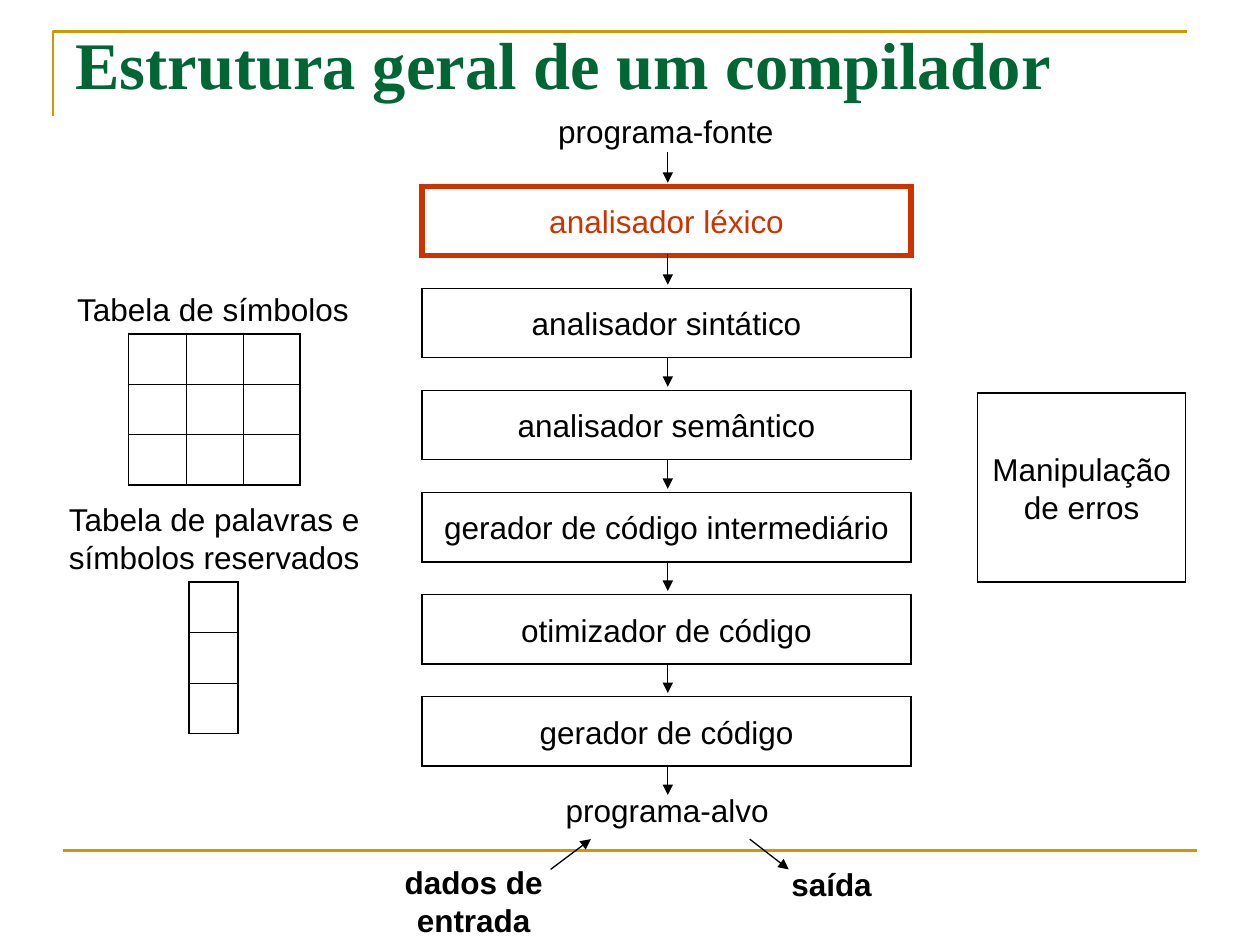
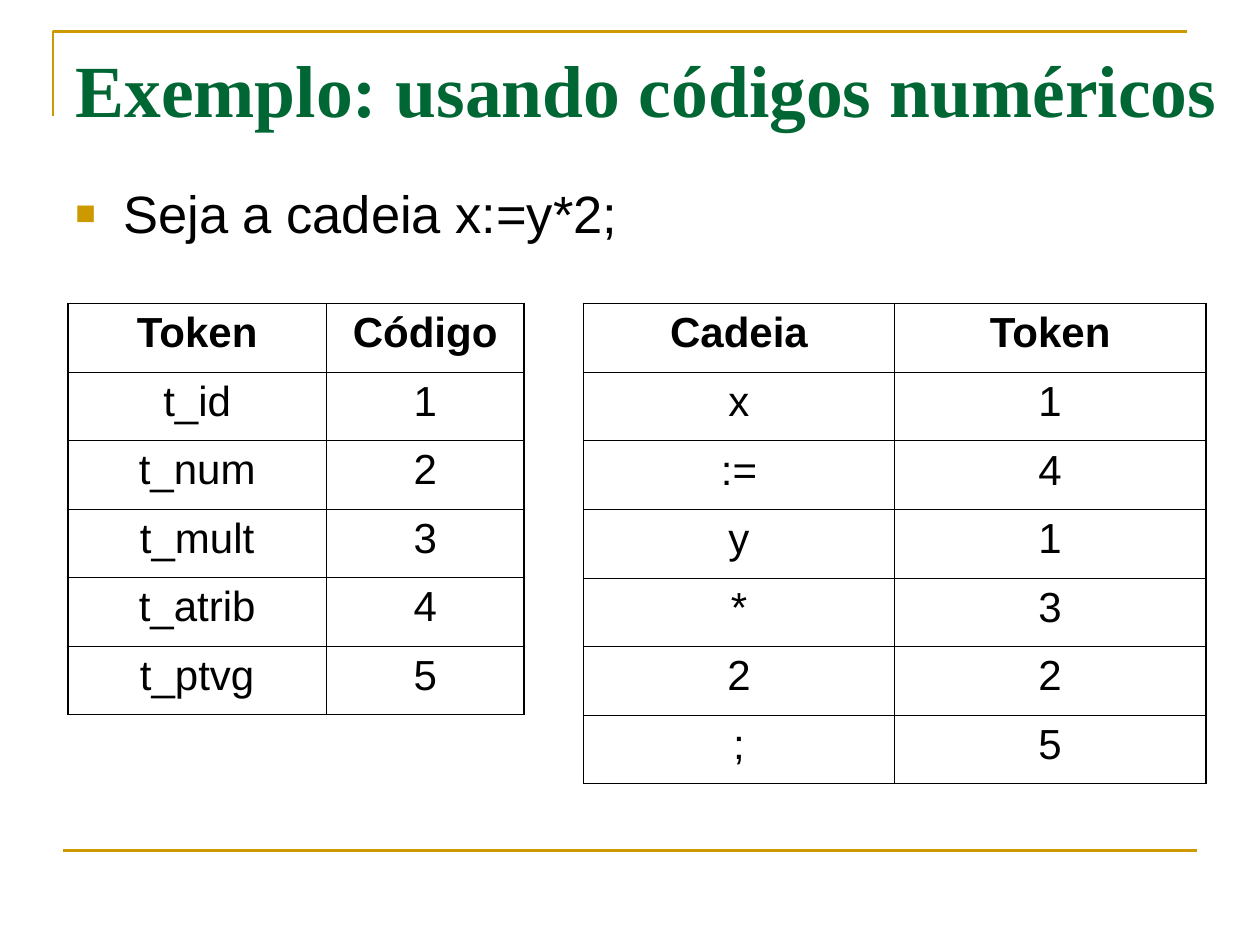
"""Build two slides on the structure of a compiler and its token codes."""
from dataclasses import dataclass

import lxml.etree
import pptx
import pptx.dml.color
import pptx.enum.shapes
import pptx.enum.text
import pptx.oxml.ns
import pptx.presentation
import pptx.shapes.base
import pptx.shapes.connector
import pptx.slide
import pptx.table
import pptx.text.text
import pptx.util

Color = pptx.dml.color.RGBColor
Inches = pptx.util.Inches
Pt = pptx.util.Pt
Align = pptx.enum.text.PP_ALIGN
Anchor = pptx.enum.text.MSO_ANCHOR

GOLD = Color(0xCC, 0x99, 0x00)
GREEN = Color(0x00, 0x66, 0x33)
RED = Color(0xCC, 0x33, 0x00)
BLACK = Color(0x00, 0x00, 0x00)

SANS = "Arial"
SERIF = "Times New Roman"

STAGES = [
    "analisador léxico",
    "analisador sintático",
    "analisador semântico",
    "gerador de código intermediário",
    "otimizador de código",
    "gerador de código",
]
PITCH = 0.81
CODES = [
    ("Token", "Código"),
    ("t_id", "1"),
    ("t_num", "2"),
    ("t_mult", "3"),
    ("t_atrib", "4"),
    ("t_ptvg", "5"),
]
CHAIN = [
    ("Cadeia", "Token"),
    ("x", "1"),
    (":=", "4"),
    ("y", "1"),
    ("*", "3"),
    ("2", "2"),
    (";", "5"),
]


@dataclass
class Style:
    """Look of a piece of text."""

    size: float = 18
    color: Color = BLACK
    bold: bool = False
    font: str = SANS
    align: Align = Align.CENTER


@dataclass
class Block:
    """Text with its place in inches."""

    text: str
    left: float
    top: float
    width: float
    height: float
    style: Style
    wrap: bool = False


@dataclass
class Arrow:
    """Ends of an arrow in inches."""

    left: float
    top: float
    right: float
    bottom: float


@dataclass
class Grid:
    """Table with its place, column widths and height in inches."""

    left: float
    top: float
    cols: list[float]
    height: float
    data: list[tuple[str, ...]]


PLAIN = Style()
STRONG = Style(bold=True)
LABELS = [
    Block("programa-fonte", 4.33, 0.84, 1.91, 0.4, PLAIN),
    Block("programa-alvo", 4.39, 6.23, 1.81, 0.4, PLAIN),
    Block("Tabela de símbolos", 0.5, 2.25, 2.38, 0.4, PLAIN),
    Block("Tabela de palavras e\nsímbolos reservados", 0.43, 3.92, 2.54, 0.7, PLAIN),
    Block("dados de\nentrada", 3.06, 6.8, 1.4, 0.7, STRONG),
    Block("saída", 6.18, 6.82, 0.84, 0.4, STRONG),
]


def write(frame: pptx.text.text.TextFrame, text: str, style: Style) -> None:
    """Put styled text in the first paragraph of a frame."""
    para = frame.paragraphs[0]
    para.text = text
    para.alignment = style.align
    for run in para.runs:
        run.font.name = style.font
        run.font.size = Pt(style.size)
        run.font.bold = style.bold
        run.font.color.rgb = style.color


def place(block: Block) -> list[pptx.util.Length]:
    """Return the left, top, width and height of a block."""
    return [Inches(n) for n in (block.left, block.top, block.width, block.height)]


def add_text(slide: pptx.slide.Slide, block: Block) -> pptx.shapes.base.BaseShape:
    """Add a text box."""
    box = slide.shapes.add_textbox(*place(block))
    box.text_frame.word_wrap = block.wrap
    write(box.text_frame, block.text, block.style)
    return box


def add_box(slide: pptx.slide.Slide, block: Block, weight: float = 0.75) -> None:
    """Add an outlined box with sharp corners and centred text."""
    kind = pptx.enum.shapes.MSO_SHAPE.RECTANGLE
    box = slide.shapes.add_shape(kind, *place(block))
    box.shadow.inherit = False
    box.fill.background()
    box.line.color.rgb = block.style.color
    box.line.width = Pt(weight)
    stroke = box.line._get_or_add_ln()
    lxml.etree.SubElement(stroke, pptx.oxml.ns.qn("a:miter"), lim="800000")
    box.text_frame.word_wrap = False
    box.text_frame.vertical_anchor = Anchor.MIDDLE
    write(box.text_frame, block.text, block.style)


def add_line(
    slide: pptx.slide.Slide, ends: Arrow, color: Color, weight: float
) -> pptx.shapes.connector.Connector:
    """Add a straight line without shadow."""
    kind = pptx.enum.shapes.MSO_CONNECTOR.STRAIGHT
    spots = [Inches(n) for n in (ends.left, ends.top, ends.right, ends.bottom)]
    line = slide.shapes.add_connector(kind, *spots)
    line.line.color.rgb = color
    line.line.width = Pt(weight)
    props = line._element.spPr
    lxml.etree.SubElement(props, pptx.oxml.ns.qn("a:effectLst"))
    return line


def add_arrow(slide: pptx.slide.Slide, ends: Arrow) -> None:
    """Add a thin black line with a head at its end."""
    line = add_line(slide, ends, BLACK, 0.75)
    stroke = line.line._get_or_add_ln()
    lxml.etree.SubElement(stroke, pptx.oxml.ns.qn("a:tailEnd"), type="triangle")


def add_edge(cell: pptx.table._Cell, widths: dict[str, float]) -> None:
    """Draw the four black borders of a cell."""
    qn = pptx.oxml.ns.qn
    props = cell._tc.get_or_add_tcPr()
    for spot, (side, width) in enumerate(widths.items()):
        edge = lxml.etree.Element(qn(f"a:ln{side}"), w=str(Pt(width)))
        fill = lxml.etree.SubElement(edge, qn("a:solidFill"))
        lxml.etree.SubElement(fill, qn("a:srgbClr"), val=str(BLACK))
        props.insert(spot, edge)


def add_grid(slide: pptx.slide.Slide, grid: Grid) -> None:
    """Add a table with a heavy frame and thin inner lines."""
    rows, cols = len(grid.data), len(grid.cols)
    frame = slide.shapes.add_table(
        rows, cols, Inches(grid.left), Inches(grid.top),
        Inches(sum(grid.cols)), Inches(grid.height),
    )
    table = frame.table
    table.first_row = table.horz_banding = False
    for col, width in zip(table.columns, grid.cols):
        col.width = Inches(width)
    for y, line in enumerate(grid.data):
        table.rows[y].height = Inches(grid.height / rows)
        for x, text in enumerate(line):
            cell = table.cell(y, x)
            cell.fill.background()
            outer = {"L": x == 0, "R": x == cols - 1, "T": y == 0, "B": y == rows - 1}
            add_edge(cell, {side: 1.08 if out else 0.45 for side, out in outer.items()})
            if text:
                write(cell.text_frame, text, Style(24, bold=y == 0))


def add_slide(deck: pptx.presentation.Presentation, title: Block) -> pptx.slide.Slide:
    """Add a blank slide with the gold rules and a title."""
    slide = deck.slides.add_slide(deck.slide_layouts[6])
    path = slide.shapes.build_freeform(Inches(0.42), Inches(0.92))
    corner = [(Inches(0.42), Inches(0.25)), (Inches(9.42), Inches(0.25))]
    path.add_line_segments(corner, close=False)
    rule = path.convert_to_shape()
    rule.shadow.inherit = False
    rule.fill.background()
    rule.line.color.rgb = GOLD
    rule.line.width = Pt(1.5)
    add_line(slide, Arrow(0.5, 6.75, 9.5, 6.75), GOLD, 1.5)
    add_text(slide, title)
    return slide


def head(size: float) -> Style:
    """Return the title style at a given size."""
    return Style(size, GREEN, True, SERIF, Align.LEFT)


def add_bullet(para: pptx.text.text._Paragraph) -> None:
    """Give a paragraph a gold square bullet and a hanging indent."""
    qn = pptx.oxml.ns.qn
    props = para._p.get_or_add_pPr()
    props.set("marL", str(Inches(0.38)))
    props.set("indent", str(-Inches(0.38)))
    tint = lxml.etree.SubElement(props, qn("a:buClr"))
    lxml.etree.SubElement(tint, qn("a:srgbClr"), val=str(GOLD))
    lxml.etree.SubElement(props, qn("a:buSzPct"), val="65000")
    lxml.etree.SubElement(props, qn("a:buFont"), typeface=SANS)
    lxml.etree.SubElement(props, qn("a:buChar"), char="■")


def draw_stages(deck: pptx.presentation.Presentation) -> None:
    """Draw the slide with the stages of a compiler."""
    title = Block("Estrutura geral de um compilador", 0.5, 0.13, 9, 0.69, head(38), True)
    slide = add_slide(deck, title)
    for i, stage in enumerate(STAGES):
        style, weight = (Style(color=RED), 3) if i == 0 else (PLAIN, 0.75)
        add_box(slide, Block(stage, 3.35, 1.48 + PITCH * i, 3.88, 0.55, style), weight)
    add_box(slide, Block("Manipulação\nde erros", 7.76, 3.12, 1.65, 1.5, PLAIN))
    for i in range(len(STAGES) + 1):
        top = 1.21 + PITCH * i
        add_arrow(slide, Arrow(5.3, top, 5.3, top + 0.24))
    for label in LABELS:
        add_text(slide, label)
    add_grid(slide, Grid(1.02, 2.65, [0.46, 0.45, 0.45], 0.8, [("",) * 3] * 3))
    add_grid(slide, Grid(1.5, 4.62, [0.39], 0.8, [("",)] * 3))
    add_arrow(slide, Arrow(4.37, 6.9, 4.69, 6.66))
    add_arrow(slide, Arrow(5.95, 6.66, 6.26, 6.9))


def draw_codes(deck: pptx.presentation.Presentation) -> None:
    """Draw the slide with the numeric token codes."""
    title = Block("Exemplo: usando códigos numéricos", 0.5, 0.3, 9.5, 1.25, head(42), True)
    slide = add_slide(deck, title)
    style = Style(30, align=Align.LEFT)
    body = add_text(slide, Block("Seja a cadeia x:=y*2;", 0.5, 1.39, 9, 4.96, style, True))
    add_bullet(body.text_frame.paragraphs[0])
    add_grid(slide, Grid(4.63, 2.41, [2.47, 2.47], 3.81, CHAIN))
    add_grid(slide, Grid(0.54, 2.41, [2.05, 1.57], 3.26, CODES))


def main() -> None:
    """Build and save the deck."""
    deck = pptx.Presentation()
    deck.slide_width = Inches(10)
    deck.slide_height = Inches(7.5)
    draw_stages(deck)
    draw_codes(deck)
    deck.save("out.pptx")


if __name__ == "__main__":
    main()
